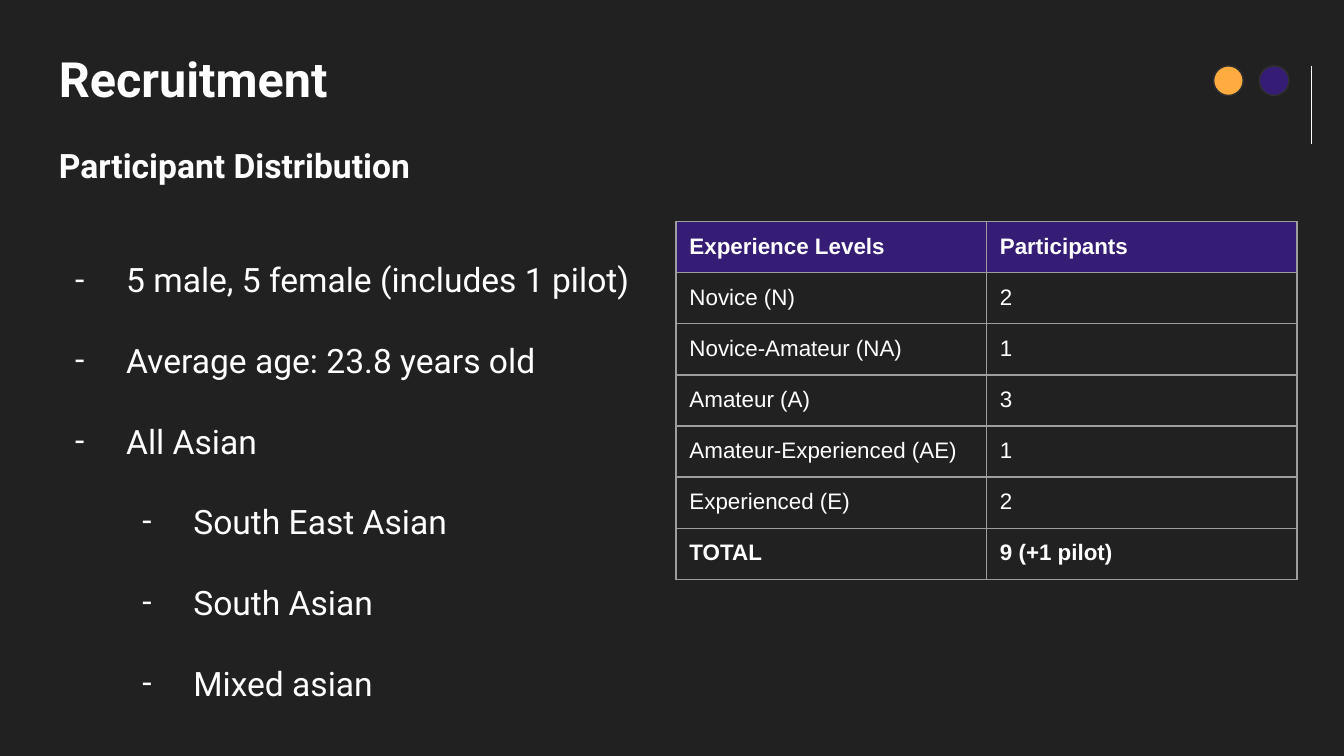
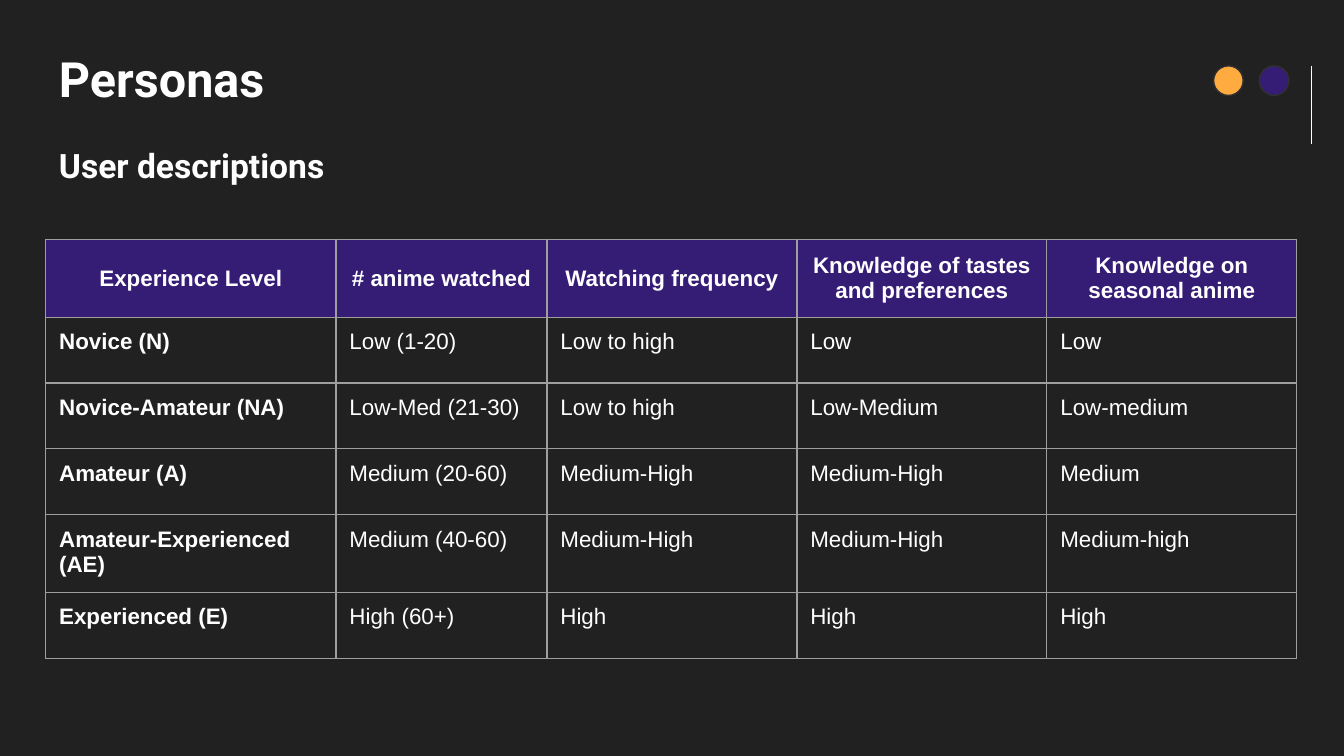
from dataclasses import dataclass

from pptx import Presentation
from pptx.dml.color import RGBColor as Rgb
from pptx.enum.shapes import MSO_CONNECTOR as Link, MSO_SHAPE as Form
from pptx.enum.text import MSO_ANCHOR as Anchor, PP_ALIGN as Align
from pptx.oxml import parse_xml
from pptx.oxml.ns import nsdecls
from pptx.slide import Slide
from pptx.text.text import TextFrame
from pptx.util import Inches, Pt

BACK, WHITE, GOLD, PLUM = "212121", "FFFFFF", "FFAB40", "351C75"
EDGE, GRID = "303030", "9E9E9E"
LEFT, WIDE, PAD = 0.34, 9.32, 0.1


@dataclass(frozen=True)
class Dot:
    left: float
    fill: str


@dataclass(frozen=True)
class Item:
    text: str
    level: int = 0


@dataclass(frozen=True)
class Grid:
    left: float
    top: float
    cols: list[float]
    row: float
    rows: list[list[str]]
    centre: bool = False
    side: bool = False
    total: bool = False


DOTS = [Dot(9.03, GOLD), Dot(9.37, PLUM)]

FACTS = [
    Item("5 male, 5 female (includes 1 pilot)"),
    Item("Average age: 23.8 years old"),
    Item("All Asian"),
    Item("South East Asian", 1),
    Item("South Asian", 1),
    Item("Mixed asian", 1),
]

LEVELS = Grid(5.03, 1.65, [2.31] * 2, 0.35, [
    ["Experience Levels", "Participants"],
    ["Novice (N)", "2"],
    ["Novice-Amateur (NA)", "1"],
    ["Amateur (A)", "3"],
    ["Amateur-Experienced (AE)", "1"],
    ["Experienced (E)", "2"],
    ["TOTAL", "9 (+1 pilot)"],
], total=True)

USERS = Grid(LEFT, 1.78, [2.16, 1.57] + [1.86] * 3, 0.49, [
    ["Experience Level", "# anime watched", "Watching frequency",
     "Knowledge of tastes and preferences", "Knowledge on seasonal anime"],
    ["Novice (N)", "Low (1-20)", "Low to high", "Low", "Low"],
    ["Novice-Amateur (NA)", "Low-Med (21-30)", "Low to high", "Low-Medium", "Low-medium"],
    ["Amateur (A)", "Medium (20-60)", "Medium-High", "Medium-High", "Medium"],
    ["Amateur-Experienced (AE)", "Medium (40-60)", "Medium-High", "Medium-High", "Medium-high"],
    ["Experienced (E)", "High (60+)", "High", "High", "High"],
], centre=True, side=True)


def paint(code: str) -> Rgb:
    return Rgb.from_string(code)


def write(frame: TextFrame, text: str, *, size: float, font: str = "Roboto",
          bold: bool = False, align: Align = Align.LEFT,
          level: int | None = None, space: float | None = None) -> None:
    para = frame.paragraphs[0]
    if para.runs:
        para = frame.add_paragraph()
    para.alignment = align
    if space is not None:
        para.line_spacing = space
    if level is not None:
        para.level = level
        props = para._p.get_or_add_pPr()
        props.set("marL", str(Inches(0.5 * (level + 1))))
        props.set("indent", str(Inches(-0.38)))
        for mark in (
            f'<a:buClr {nsdecls("a")}><a:srgbClr val="{WHITE}"/></a:buClr>',
            f'<a:buFont {nsdecls("a")} typeface="{font}"/>',
            f'<a:buChar {nsdecls("a")} char="-"/>',
        ):
            props.append(parse_xml(mark))
    run = para.add_run()
    run.text = text
    run.font.name = font
    run.font.size = Pt(size)
    run.font.bold = bold
    run.font.color.rgb = paint(WHITE)


def add_box(slide: Slide, top: float, high: float, anchor: Anchor) -> TextFrame:
    box = slide.shapes.add_textbox(Inches(LEFT), Inches(top), Inches(WIDE), Inches(high))
    frame = box.text_frame
    frame.word_wrap = True
    frame.vertical_anchor = anchor
    frame.margin_left = frame.margin_right = Inches(PAD)
    frame.margin_top = frame.margin_bottom = Inches(PAD)
    return frame


def add_dot(slide: Slide, dot: Dot) -> None:
    shape = slide.shapes.add_shape(
        Form.FLOWCHART_CONNECTOR, Inches(dot.left), Inches(0.49), Inches(0.22), Inches(0.22))
    shape.shadow.inherit = False
    shape.fill.solid()
    shape.fill.fore_color.rgb = paint(dot.fill)
    shape.line.color.rgb = paint(EDGE)
    shape.line.width = Pt(0.75)


def add_rule(slide: Slide) -> None:
    rule = slide.shapes.add_connector(
        Link.STRAIGHT, Inches(9.76), Inches(0.49), Inches(9.76), Inches(1.07))
    rule.line.color.rgb = paint(WHITE)
    rule.line.width = Pt(0.75)
    rule._element.spPr.append(parse_xml(f'<a:effectLst {nsdecls("a")}/>'))


def add_grid(slide: Slide, grid: Grid) -> None:
    count = len(grid.rows)
    table = slide.shapes.add_table(
        count, len(grid.cols), Inches(grid.left), Inches(grid.top),
        Inches(sum(grid.cols)), Inches(grid.row * count)).table
    table.horz_banding = False
    for col, width in zip(table.columns, grid.cols):
        col.width = Inches(width)
    for r, texts in enumerate(grid.rows):
        table.rows[r].height = Inches(grid.row)
        head = r == 0
        last = grid.total and r == count - 1
        mid = head and grid.centre
        for c, text in enumerate(texts):
            cell = table.cell(r, c)
            cell.margin_left = cell.margin_right = Inches(PAD)
            cell.margin_top = cell.margin_bottom = Inches(0.09)
            cell.vertical_anchor = Anchor.MIDDLE if mid else Anchor.TOP
            props = cell._tc.get_or_add_tcPr()
            for edge in "LRTB":
                props.append(parse_xml(
                    f'<a:ln{edge} {nsdecls("a")} w="{Pt(0.75)}"><a:solidFill>'
                    f'<a:srgbClr val="{GRID}"/></a:solidFill></a:ln{edge}>'))
            if head:
                cell.fill.solid()
                cell.fill.fore_color.rgb = paint(PLUM)
            else:
                cell.fill.background()
            write(cell.text_frame, text, size=12, font="Arial",
                  bold=head or last or (grid.side and c == 0),
                  align=Align.CENTER if mid else Align.LEFT)


def add_page(deck: Presentation, title: str, sub: str, grid: Grid,
             items: list[Item] | None = None) -> None:
    slide = deck.slides.add_slide(deck.slide_layouts[6])
    slide.background.fill.solid()
    slide.background.fill.fore_color.rgb = paint(BACK)
    if items:
        body = add_box(slide, 1.53, 3.68, Anchor.TOP)
        for item in items:
            write(body, item.text, size=18, level=item.level, space=2.0)
    write(add_box(slide, 0.32, 0.58, Anchor.BOTTOM), title, size=26, bold=True)
    write(add_box(slide, 0.9, 0.58, Anchor.BOTTOM), sub, size=18, bold=True)
    for dot in DOTS:
        add_dot(slide, dot)
    add_rule(slide)
    add_grid(slide, grid)


def main() -> None:
    deck = Presentation()
    deck.slide_width = Inches(10)
    deck.slide_height = Inches(10 * 9 / 16)
    add_page(deck, "Recruitment", "Participant Distribution", LEVELS, FACTS)
    add_page(deck, "Personas", "User descriptions", USERS)
    deck.save("out.pptx")


if __name__ == "__main__":
    main()
